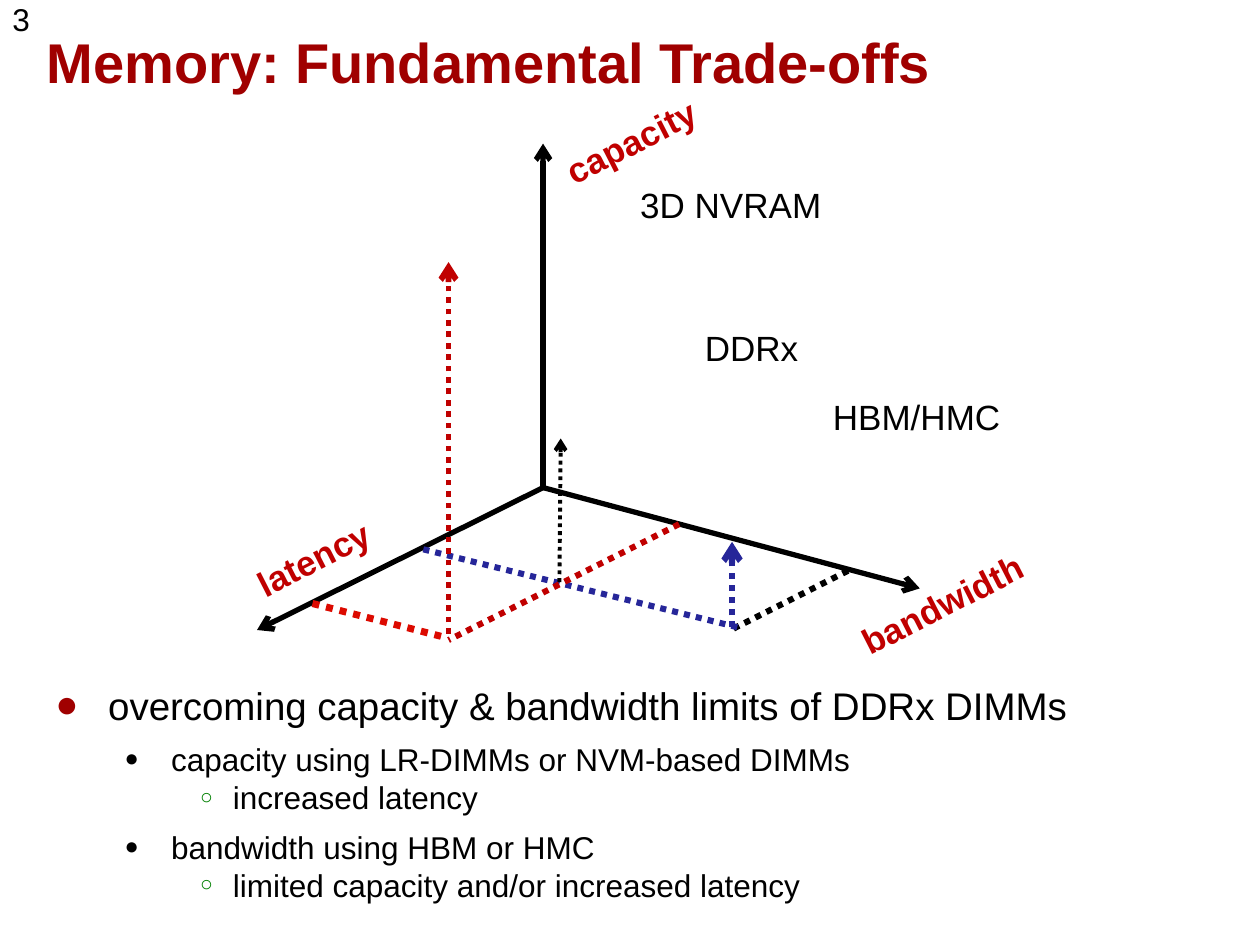
from dataclasses import dataclass

from lxml.etree import SubElement
from pptx import Presentation
from pptx.dml.color import RGBColor
from pptx.enum.dml import MSO_LINE
from pptx.enum.shapes import MSO_CONNECTOR
from pptx.enum.text import MSO_ANCHOR, PP_ALIGN
from pptx.oxml import parse_xml
from pptx.oxml.ns import nsdecls, qn
from pptx.util import Inches, Pt


@dataclass(frozen=True)
class Theme:
    font: str = "Arial"
    black: str = "000000"
    title: str = "A00000"
    red: str = "C00000"
    bright_red: str = "DC0A00"
    blue: str = "262699"
    green: str = "008000"
    shadow: str = "B2B2B2"
    title_size: int = 32
    topic_size: int = 22
    label_size: int = 20
    detail_size: int = 18


THEME = Theme()

ORIGIN = (2.71, 2.87)
AXIS_ENDS = [(2.71, 0.14), (5.7, 3.67), (0.44, 4)]
GUIDES = [
    ((5.13, 3.53), (4.22, 3.99), THEME.black, 3.5, False),
    ((1.76, 3.36), (4.26, 3.98), THEME.blue, 3.5, False),
    ((4.21, 3.98), (4.21, 3.3), THEME.blue, 3.5, True),
    ((2.84, 3.62), (2.85, 2.48), THEME.black, 2.25, True),
    ((3.79, 3.16), (1.96, 4.08), THEME.red, 3.5, False),
    ((1.96, 4.03), (1.96, 1.08), THEME.red, 3.25, True),
    ((0.88, 3.79), (1.9, 4.05), THEME.bright_red, 4, False),
]
AXIS_LABELS = [("latency", 0, 3.31), ("capacity", 2.52, 0), ("bandwidth", 4.99, 3.67)]
MEMORY_LABELS = [
    ("HBM/HMC", 4.97, 2.19, 1.41),
    ("DDRx", 3.75, 1.64, 1.23),
    ("3D NVRAM", 3.43, 0.51, 1.54),
]

LEVELS = [
    (0.42, 0.42, "●", THEME.title, 100, THEME.topic_size, 0),
    (0.92, 0.37, "●", THEME.black, 75, THEME.detail_size, 7),
    (1.41, 0.26, "○", THEME.green, 68, THEME.detail_size, 0),
]
POINTS = [
    (0, "overcoming capacity & bandwidth limits of DDRx DIMMs"),
    (1, "capacity using LR-DIMMs or NVM-based DIMMs"),
    (2, "increased latency"),
    (1, "bandwidth using HBM or HMC"),
    (2, "limited capacity and/or increased latency"),
]


def style(paragraph, size, color=THEME.black, bold=False):
    font = paragraph.font
    font.name, font.size, font.bold = THEME.font, Pt(size), bold
    font.color.rgb = RGBColor.from_string(color)


def add_frame(slide, box, inset=(0, 0)):
    shape = slide.shapes.add_textbox(*map(Inches, box))
    frame = shape.text_frame
    frame.word_wrap = True
    frame.margin_left = frame.margin_right = Inches(inset[0])
    frame.margin_top = frame.margin_bottom = Inches(inset[1])
    return shape, frame


def add_page_number(slide, box):
    _, frame = add_frame(slide, box, (0.1, 0.05))
    number = frame.paragraphs[0]
    number.text = "3"
    number.line_spacing = 0.85
    style(number, THEME.detail_size)


def add_title(slide, box):
    _, frame = add_frame(slide, box)
    frame.vertical_anchor = MSO_ANCHOR.MIDDLE
    heading = frame.paragraphs[0]
    heading.line_spacing = 0.87
    style(heading, THEME.title_size, THEME.title, True)
    words = heading.add_run()
    words.text = "Memory: Fundamental Trade-offs"
    words.font._element.append(parse_xml(
        f'<a:effectLst {nsdecls("a")}><a:outerShdw dist="38100" dir="2700000">'
        f'<a:srgbClr val="{THEME.shadow}"/></a:outerShdw></a:effectLst>'))


def add_line(slide, start, end, color, width, arrow=False, dotted=False):
    line = slide.shapes.add_connector(
        MSO_CONNECTOR.STRAIGHT, *map(Inches, (*start, *end)))
    line.line.color.rgb = RGBColor.from_string(color)
    line.line.width = Pt(width)
    if dotted:
        line.line.dash_style = MSO_LINE.ROUND_DOT
    properties = line._element.spPr
    if arrow:
        SubElement(properties.find(qn("a:ln")), qn("a:tailEnd"), type="arrow")
    SubElement(properties, qn("a:effectLst"))


def add_label(slide, words, box, color=THEME.black, bold=False, rotation=0):
    shape, frame = add_frame(slide, box)
    shape.rotation = rotation
    label = frame.paragraphs[0]
    label.text = words
    label.alignment = PP_ALIGN.CENTER
    label.line_spacing = 0.85
    style(label, THEME.label_size, color, bold)


def add_tradeoff_diagram(slide, left, top):
    def place(point):
        return left + point[0], top + point[1]

    for end in AXIS_ENDS:
        add_line(slide, place(ORIGIN), place(end), THEME.black, 3, arrow=True)
    for start, end, color, width, arrow in GUIDES:
        add_line(slide, place(start), place(end), color, width, arrow, dotted=True)
    for words, x, y in AXIS_LABELS:
        add_label(slide, words, (*place((x, y)), 1.81, 0.32), THEME.red, True, 333)
    for words, x, y, width in MEMORY_LABELS:
        add_label(slide, words, (*place((x, y)), width, 0.32))


def add_points(slide, box):
    _, frame = add_frame(slide, box, (0.1, 0.05))
    for index, (level, words) in enumerate(POINTS):
        margin, hanging, bullet, color, scale, size, before = LEVELS[level]
        point = frame.add_paragraph() if index else frame.paragraphs[0]
        point.text = words
        point.level = level
        if before:
            point.space_before = Pt(before)
        properties = point._p.get_or_add_pPr()
        properties.set("marL", str(Inches(margin)))
        properties.set("indent", str(-Inches(hanging)))
        bullet_color = SubElement(properties, qn("a:buClr"))
        SubElement(bullet_color, qn("a:srgbClr"), val=color)
        SubElement(properties, qn("a:buSzPct"), val=str(scale * 1000))
        SubElement(properties, qn("a:buFont"), typeface=THEME.font)
        SubElement(properties, qn("a:buChar"), char=bullet)
        style(point, size)


def main():
    deck = Presentation()
    deck.slide_width, deck.slide_height = Inches(10), Inches(7.5)
    slide = deck.slides.add_slide(deck.slide_layouts[6])
    add_page_number(slide, (0, 0, 0.57, 0.36))
    add_title(slide, (0.37, 0.15, 9.3, 0.74))
    add_points(slide, (0.34, 5.36, 9.25, 1.99))
    add_tradeoff_diagram(slide, 1.6, 1)
    deck.save("out.pptx")


if __name__ == "__main__":
    main()
